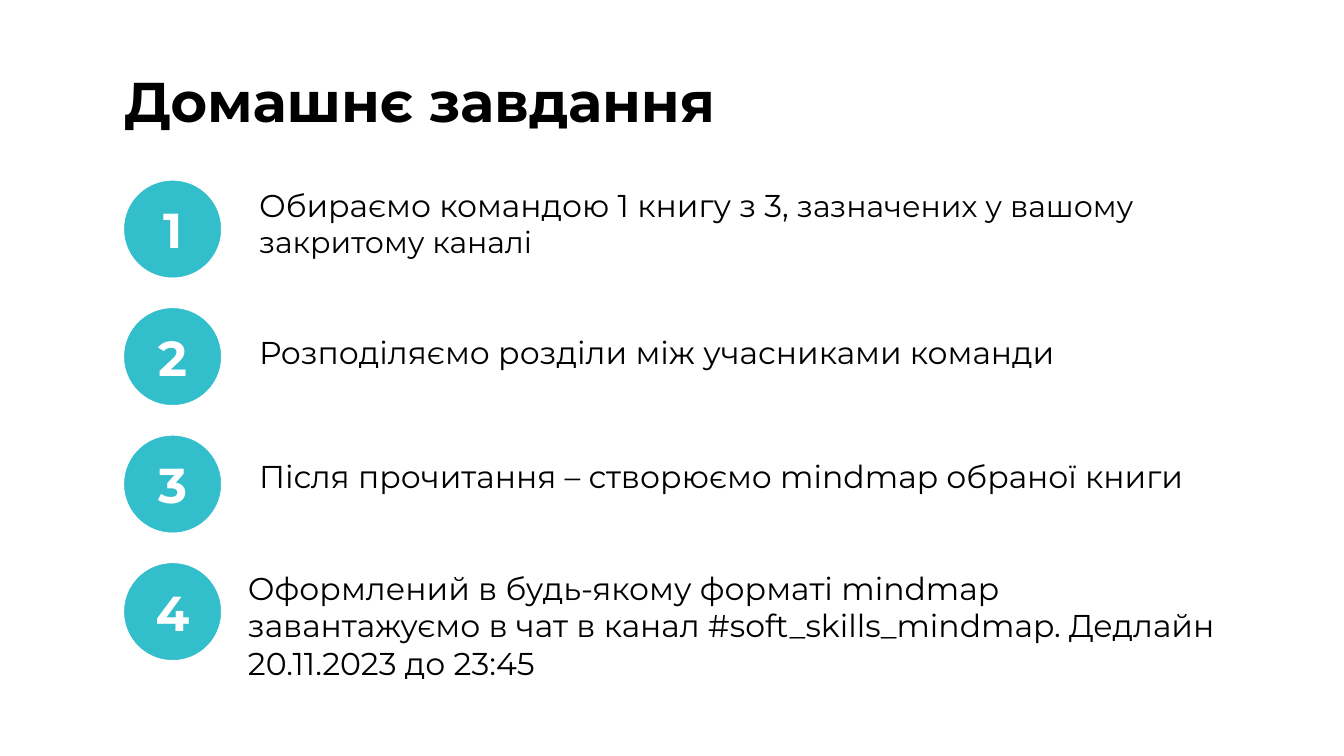
"""Build the homework slide with four numbered steps."""
import pptx
import pptx.dml.color
import pptx.enum.shapes
import pptx.enum.text
import pptx.util

Inches = pptx.util.Inches
FONT = "Montserrat"
TEAL, BLACK, WHITE = "32BECB", "000000", "FFFFFF"
LEFT, BADGE_SIZE, FIRST_TOP, STEP_PITCH = 2.47, 1.91, 3.59, 2.53
TEXT_LEFT, TEXT_INDENT = 4.72, 0.22

STEPS = [
    (3.59, 18.6, 1.91, TEXT_INDENT, [("Обираємо командою 1 книгу з 3, ", 45),
                                     ("зазначених у вашому закритому каналі", 43)]),
    (6.5, 18.6, 1.15, TEXT_INDENT, [("Розподіляємо розділи між учасниками команди", 45)]),
    (8.97, 19.15, 1.24, TEXT_INDENT,
     [("Після прочитання – створюємо mindmap обраної книги", 45)]),
    (11.18, 19.78, 2.61, 0,
     [("Оформлений в будь-якому форматі mindmap завантажуємо в чат в канал "
       "#soft_skills_mindmap. Дедлайн 20.11.2023 до 23:45", 45)]),
]


def paint(color_format, value):
    """Set a colour from a hex string."""
    color_format.rgb = pptx.dml.color.RGBColor.from_string(value)


def style_font(font, size, color, bold=False):
    """Apply the slide typeface with a size, colour and weight."""
    font.name = FONT
    font.size = pptx.util.Pt(size)
    font.bold = bold
    paint(font.color, color)


def set_margins(frame, left, top, right, bottom):
    """Set the four inner margins of a text frame in inches."""
    frame.margin_left, frame.margin_top = Inches(left), Inches(top)
    frame.margin_right, frame.margin_bottom = Inches(right), Inches(bottom)


def fill_title(page, text):
    """Place and format the slide title."""
    title = page.shapes.title
    title.left, title.top = Inches(LEFT), Inches(1.12)
    title.width, title.height = Inches(14.39), Inches(1.91)
    frame = title.text_frame
    frame.text = text
    frame.auto_size = pptx.enum.text.MSO_AUTO_SIZE.NONE
    frame.vertical_anchor = pptx.enum.text.MSO_ANCHOR.MIDDLE
    set_margins(frame, 0, 0.1, 0.2, 0.1)
    para = frame.paragraphs[0]
    para.alignment = pptx.enum.text.PP_ALIGN.LEFT
    para.line_spacing = 0.9
    style_font(para.font, 80, BLACK, bold=True)


def add_badge(page, number, top):
    """Add a grouped circle and its number."""
    group = page.shapes.add_group_shape()
    circle = group.shapes.add_shape(
        pptx.enum.shapes.MSO_SHAPE.OVAL,
        Inches(LEFT), Inches(top), Inches(BADGE_SIZE), Inches(BADGE_SIZE))
    circle.shadow.inherit = False
    circle.fill.solid()
    paint(circle.fill.fore_color, TEAL)
    paint(circle.line.color, TEAL)
    circle.line.width = pptx.util.Pt(0.75)
    box = group.shapes.add_textbox(
        Inches(LEFT + 0.46), Inches(top + 0.27), Inches(0.99), Inches(1.38))
    frame = box.text_frame
    frame.word_wrap = True
    frame.auto_size = pptx.enum.text.MSO_AUTO_SIZE.SHAPE_TO_FIT_TEXT
    set_margins(frame, 0.1, 0.1, 0.1, 0.1)
    frame.text = str(number)
    para = frame.paragraphs[0]
    para.alignment = pptx.enum.text.PP_ALIGN.CENTER
    style_font(para.font, 70, WHITE, bold=True)


def add_step_text(page, top, width, height, indent, spans):
    """Add the description of one step."""
    box = page.shapes.add_textbox(
        Inches(TEXT_LEFT), Inches(top), Inches(width), Inches(height))
    frame = box.text_frame
    frame.word_wrap = True
    set_margins(frame, 0.2, 0.1, 0.2, 0.1)
    para = frame.paragraphs[0]
    properties = para._p.get_or_add_pPr()
    properties.set("marL", str(Inches(indent)))
    properties.set("indent", "0")
    style_font(para.font, spans[0][1], BLACK)
    for text, size in spans:
        span = para.add_run()
        span.text = text
        if size != spans[0][1]:
            span.font.size = pptx.util.Pt(size)


def main():
    """Create the deck and save it."""
    deck = pptx.Presentation()
    deck.slide_width, deck.slide_height = Inches(26.67), Inches(15)
    page = deck.slides.add_slide(deck.slide_layouts[5])
    page.background.fill.solid()
    paint(page.background.fill.fore_color, WHITE)
    fill_title(page, "Домашнє завдання")
    for index, step in enumerate(STEPS):
        add_badge(page, index + 1, FIRST_TOP + index * STEP_PITCH)
        add_step_text(page, *step)
    deck.save("out.pptx")


if __name__ == "__main__":
    main()
